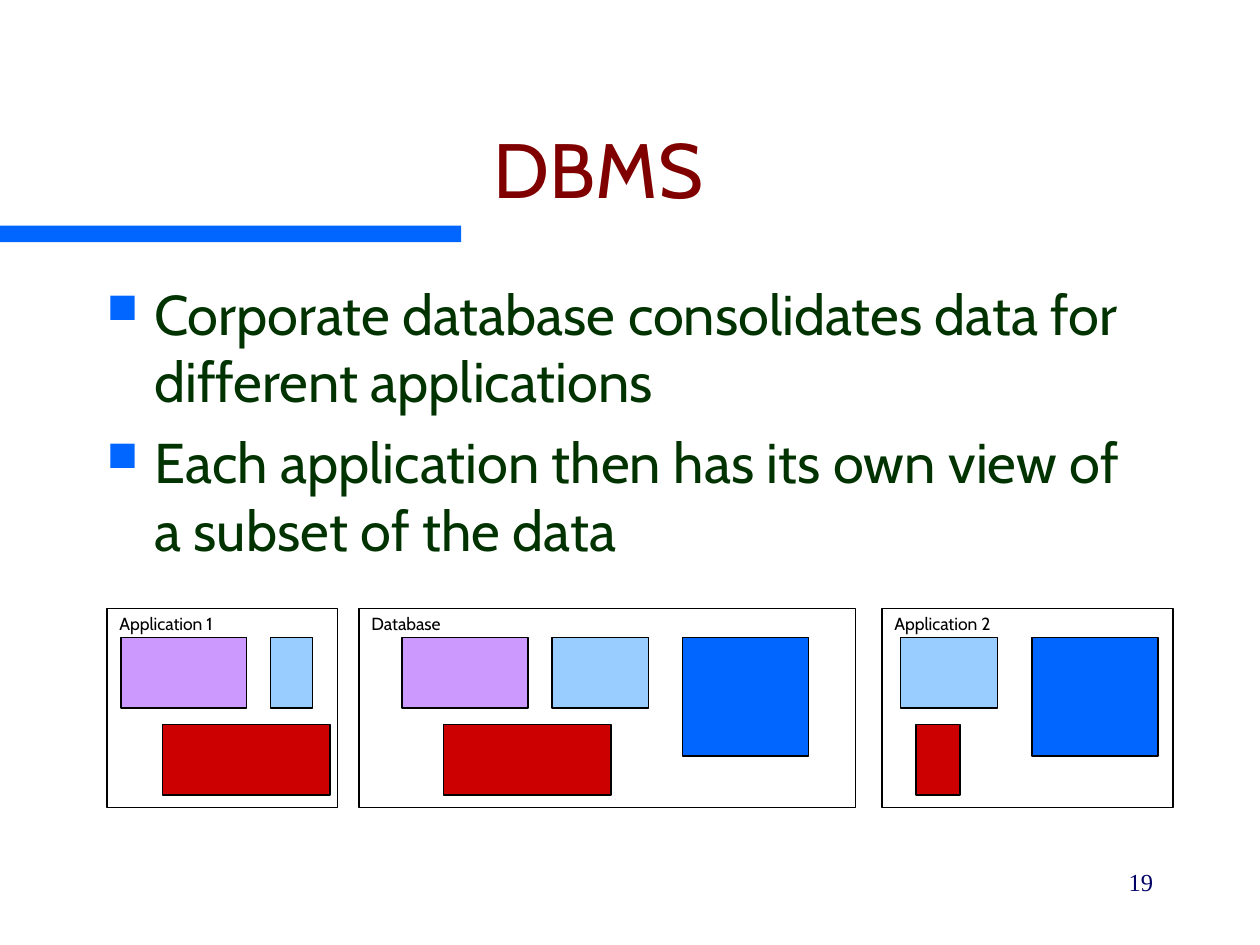
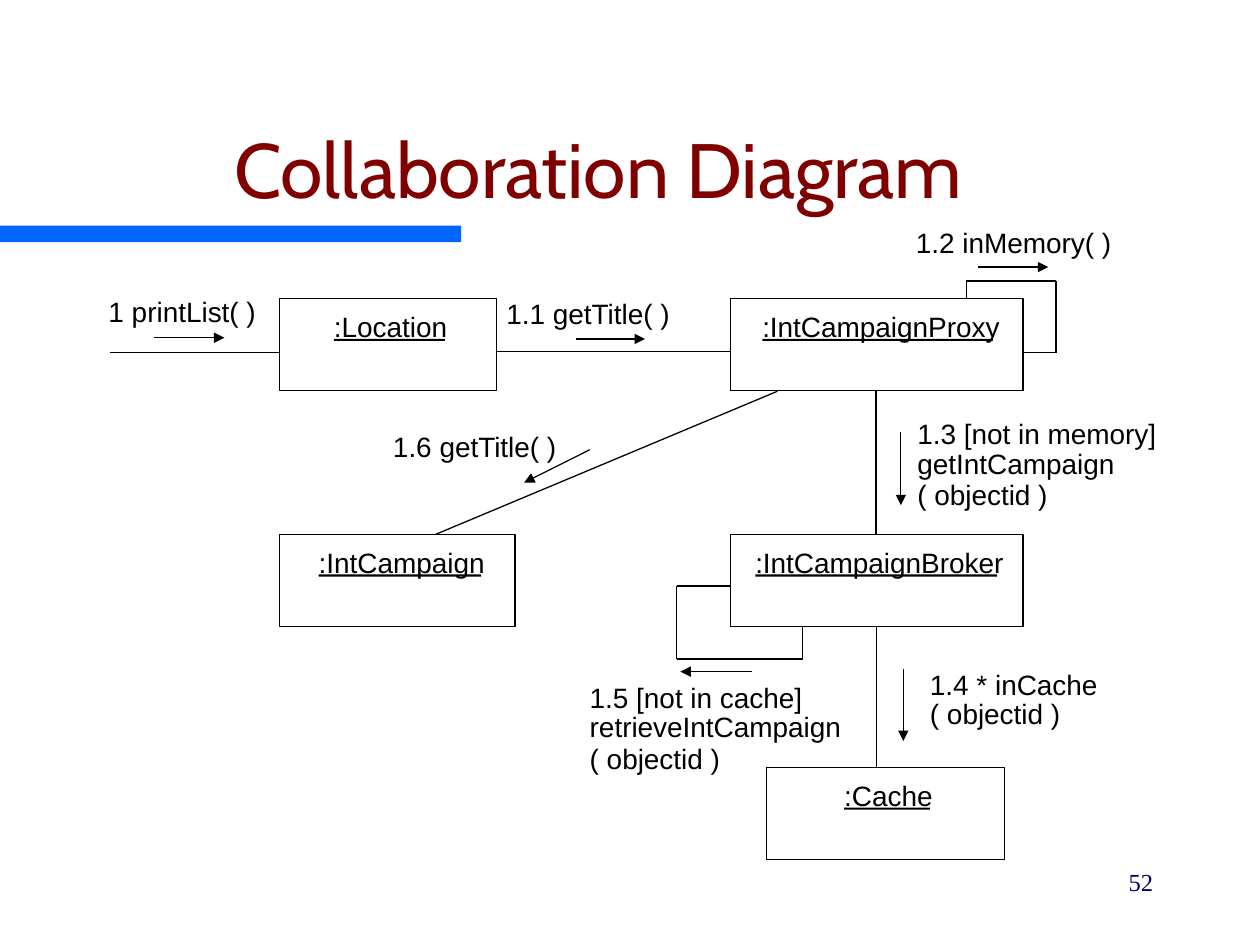
import pptx
import pptx.dml.color
import pptx.enum.shapes
import pptx.enum.text
import pptx.oxml.ns
import pptx.util
from lxml import etree

Pt = pptx.util.Pt
RGBColor = pptx.dml.color.RGBColor
PP_ALIGN = pptx.enum.text.PP_ALIGN
MSO_ANCHOR = pptx.enum.text.MSO_ANCHOR
qn = pptx.oxml.ns.qn

BLACK = RGBColor(0x00, 0x00, 0x00)
WHITE = RGBColor(0xFF, 0xFF, 0xFF)
BLUE = RGBColor(0x00, 0x66, 0xFF)
LIGHT_BLUE = RGBColor(0x99, 0xCC, 0xFF)
PURPLE = RGBColor(0xCC, 0x99, 0xFF)
RED = RGBColor(0xCC, 0x00, 0x00)
TITLE_MAROON = RGBColor(0x80, 0x00, 0x00)
BODY_GREEN = RGBColor(0x00, 0x33, 0x00)
NUMBER_NAVY = RGBColor(0x00, 0x00, 0x66)

HEADING_FONT = "Cabin"
DIAGRAM_FONT = "Arial"
NUMBER_FONT = "Times New Roman"

# Vertical offset and height of each data set inside a panel
DATA_ROWS = {
    PURPLE: (16.6, 40.3),
    LIGHT_BLUE: (16.6, 40.3),
    BLUE: (16.6, 67.7),
    RED: (66.2, 40.3),
}

# Panel: name, left, width, data sets as (colour, left, width)
PANELS = [
    ("Database", 144, 283.7,
     [(PURPLE, 24.5, 72), (LIGHT_BLUE, 110.2, 55.4), (BLUE, 185, 72), (RED, 48.2, 95.8)]),
    ("Application 1", 0, 131.8,
     [(PURPLE, 7.9, 72), (LIGHT_BLUE, 93.6, 23.8), (RED, 31.7, 95.8)]),
    ("Application 2", 442.8, 166.3,
     [(LIGHT_BLUE, 10.8, 55.4), (BLUE, 85.7, 72), (RED, 19.4, 25.2)]),
]

# Object: name, left, top, width, indent of the name, length of its underline
OBJECTS = [
    (":IntCampaignBroker", 355.6, 176.3, 167, 14, 138.2),
    (":IntCampaign", 97.8, 176.3, 134.6, 22.3, 92.9),
    (":Cache", 375.8, 309.5, 136.1, 44.6, 49),
    (":IntCampaignProxy", 355.6, 41.6, 167, 18, 131.8),
    (":Location", 97.8, 41.6, 123.8, 31, 63.4),
]

LINKS = [
    [(0.6, 72.6), (97.8, 72.6)],
    [(221.6, 72), (355.6, 72)],
    [(382.2, 94.6), (187.1, 176.3)],
    [(438.6, 94.6), (438.6, 176.3)],
    [(439, 228.5), (439, 309.5)],
    [(490.2, 41.6), (490.2, 31.6), (541.4, 31.6), (541.4, 72.6), (522.6, 72.6)],
    [(396.6, 228.5), (396.6, 247.6), (324.6, 247.6), (324.6, 205.8), (355.6, 205.8)],
]

# Message: lines, left, top, width, start and end of its arrow
MESSAGES = [
    (["1 printList( )"], 0, 39.5, 95, (25.8, 64), (66.2, 64)),
    (["1.1 getTitle( )"], 227.4, 40.2, 105, (267, 64.7), (306.6, 64.7)),
    (["1.2 inMemory( )"], 461.4, 0, 125, (496.7, 23.6), (537, 23.6)),
    (["1.3 [not in memory]", "getIntCampaign", "( objectid )"],
     462.2, 109.3, 150, (452.8, 118), (452.8, 159.7)),
    (["1.4 * inCache", "( objectid )"],
     469.4, 252.6, 110, (454.2, 253.3), (454.2, 294.4)),
    (["1.5 [not in cache]", "retrieveIntCampaign", "( objectid )"],
     275, 259.8, 155, (367.8, 254.8), (326.8, 254.8)),
    (["1.6 getTitle( )"], 162.6, 116.5, 105, (275, 128), (237.5, 146.8)),
]
MESSAGE_LINE_PITCHES = [None, Pt(16.6), Pt(18.2)]


def style_text(frame, font, size, color, align=PP_ALIGN.LEFT):
    for paragraph in frame.paragraphs:
        paragraph.alignment = align
        for run in paragraph.runs:
            run.font.name = font
            run.font.size = Pt(size)
            run.font.color.rgb = color


def add_text(slide, text, left, top, width, height, font, size, color,
             align=PP_ALIGN.LEFT, inset=True):
    box = slide.shapes.add_textbox(Pt(left), Pt(top), Pt(width), Pt(height))
    frame = box.text_frame
    frame.word_wrap = True
    if not inset:
        frame.margin_left = frame.margin_right = 0
        frame.margin_top = frame.margin_bottom = 0
    frame.text = text
    style_text(frame, font, size, color, align)
    return frame


def add_rect(slide, left, top, width, height, fill, outlined=True):
    rect = slide.shapes.add_shape(
        pptx.enum.shapes.MSO_SHAPE.RECTANGLE, Pt(left), Pt(top), Pt(width), Pt(height))
    rect.shadow.inherit = False
    rect.fill.solid()
    rect.fill.fore_color.rgb = fill
    if outlined:
        rect.line.color.rgb = BLACK
        rect.line.width = Pt(0.75)
    else:
        rect.line.fill.background()
    return rect


def add_line(slide, left, top, start, end, arrow=False):
    """Join two points given relative to left and top."""
    line = slide.shapes.add_connector(
        pptx.enum.shapes.MSO_CONNECTOR.STRAIGHT,
        Pt(left + start[0]), Pt(top + start[1]), Pt(left + end[0]), Pt(top + end[1]))
    line.line.color.rgb = BLACK
    line.line.width = Pt(0.75)
    properties = line._element.spPr
    if arrow:
        etree.SubElement(properties.find(qn("a:ln")), qn("a:tailEnd"), type="triangle")
    etree.SubElement(properties, qn("a:effectLst"))


def add_base_slide(deck, title, number):
    """Add a slide with the shared bar, title and page number."""
    slide = deck.slides.add_slide(deck.slide_layouts[6])
    add_rect(slide, 0, 129, 263.5, 9.4, BLUE, outlined=False)
    heading = add_text(slide, title, 18, 36, 648, 90, HEADING_FONT, 44,
                       TITLE_MAROON, PP_ALIGN.CENTER)
    heading.vertical_anchor = MSO_ANCHOR.BOTTOM
    page = add_text(slide, str(number), 516.2, 491.8, 149.8, 36, NUMBER_FONT, 14,
                    NUMBER_NAVY, PP_ALIGN.RIGHT)
    page.paragraphs[0].space_before = Pt(8.8)
    return slide


def add_bullets(slide, points, left, top, width, height):
    frame = add_text(slide, "\n".join(points), left, top, width, height,
                     HEADING_FONT, 32, BODY_GREEN)
    for paragraph in frame.paragraphs:
        paragraph.space_before = Pt(8)
        properties = paragraph._p.get_or_add_pPr()
        properties.set("marL", str(Pt(27)))
        properties.set("indent", str(-Pt(27)))
        bullet_color = etree.SubElement(properties, qn("a:buClr"))
        etree.SubElement(bullet_color, qn("a:srgbClr"), val=str(BLUE))
        etree.SubElement(properties, qn("a:buSzPct"), val="75000")
        etree.SubElement(properties, qn("a:buChar"), char="■")


def add_panel(slide, name, data_sets, left, top, width, height):
    """Draw an application or database with the data sets it sees."""
    frame = add_rect(slide, left, top, width, height, WHITE).text_frame
    frame.vertical_anchor = MSO_ANCHOR.TOP
    frame.margin_top = Pt(2.5)
    frame.text = name
    style_text(frame, HEADING_FONT, 10, BLACK)
    for color, data_left, data_width in data_sets:
        row_top, row_height = DATA_ROWS[color]
        add_rect(slide, left + data_left, top + row_top, data_width, row_height, color)


def add_object(slide, name, left, top, width, height, indent, underline):
    add_rect(slide, left, top, width, height, WHITE)
    add_text(slide, name, left + indent, top + 6.5, width - indent, 19.4,
             DIAGRAM_FONT, 16, BLACK, inset=False)
    add_rect(slide, left + indent, top + 23, underline, 1.2, BLACK, outlined=False)


def add_message(slide, lines, left, top, width):
    frame = add_text(slide, "\n".join(lines), left, top, width, 18 * len(lines) + 1.4,
                     DIAGRAM_FONT, 16, BLACK, inset=False)
    for paragraph, pitch in zip(frame.paragraphs, MESSAGE_LINE_PITCHES):
        paragraph.line_spacing = pitch


def add_collaboration(slide, left, top):
    for points in LINKS:
        for start, end in zip(points, points[1:]):
            add_line(slide, left, top, start, end)
    for name, x, y, width, indent, underline in OBJECTS:
        add_object(slide, name, left + x, top + y, width, 52.6, indent, underline)
    for lines, x, y, width, start, end in MESSAGES:
        add_message(slide, lines, left + x, top + y, width)
        add_line(slide, left, top, start, end, arrow=True)


def build_dbms(deck):
    slide = add_base_slide(deck, "DBMS", 19)
    add_bullets(slide, [
        "Corporate database consolidates data for different applications",
        "Each application then has its own view of a subset of the data",
    ], 54, 156.2, 612, 171.4)
    for name, left, width, data_sets in PANELS:
        add_panel(slide, name, data_sets, 61.2 + left, 347.8, width, 113.8)


def build_collaboration(deck):
    slide = add_base_slide(deck, "Collaboration Diagram", 52)
    add_collaboration(slide, 62, 129)


def main():
    deck = pptx.Presentation()
    deck.slide_width = Pt(720)
    deck.slide_height = Pt(540)
    build_dbms(deck)
    build_collaboration(deck)
    deck.save("out.pptx")


if __name__ == "__main__":
    main()
